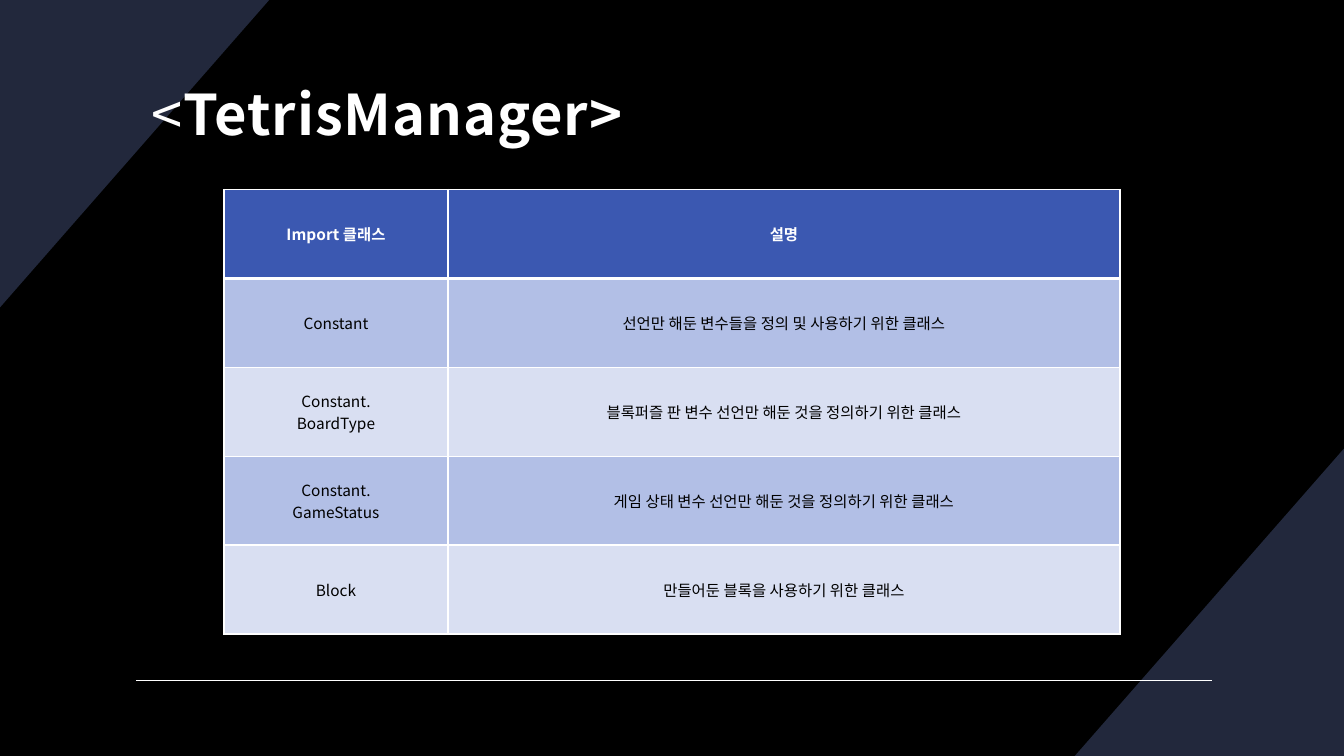
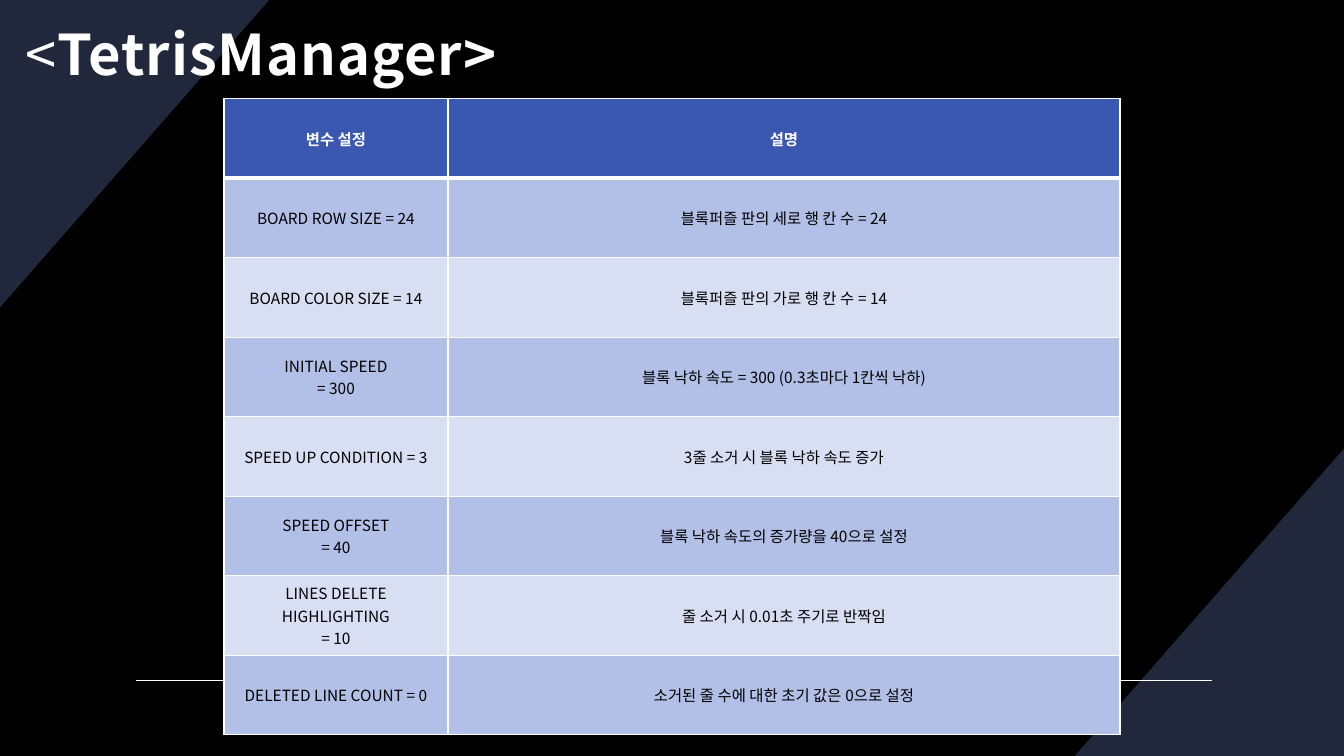
import dataclasses

import lxml.etree
import pptx
import pptx.dml.color
import pptx.enum.shapes
import pptx.enum.text
import pptx.oxml.ns
import pptx.util


@dataclasses.dataclass(frozen=True)
class Theme:
    font: str = "Noto Sans CJK KR"
    background: str = "000000"
    corner: str = "22283C"
    light: str = "FFFFFF"
    dark: str = "000000"
    header: str = "3B58B1"
    bands: tuple = ("B2BFE6", "D9DFF2")
    title_size: int = 40
    cell_size: int = 11
    title_spacing: int = 70
    thin: int = 1
    thick: int = 3


@dataclasses.dataclass(frozen=True)
class Box:
    left: int
    top: int
    width: int
    height: int


THEME = Theme()
SLIDE_WIDTH = pptx.util.Inches(13.33)
SLIDE_HEIGHT = pptx.util.Inches(7.5)
TITLE_ONLY = 5

IMPORT_ROWS = [
    ("Import 클래스", "설명"),
    ("Constant", "선언만 해둔 변수들을 정의 및 사용하기 위한 클래스"),
    ("Constant.\nBoardType", "블록퍼즐 판 변수 선언만 해둔 것을 정의하기 위한 클래스"),
    ("Constant.\nGameStatus", "게임 상태 변수 선언만 해둔 것을 정의하기 위한 클래스"),
    ("Block", "만들어둔 블록을 사용하기 위한 클래스"),
]
VARIABLE_ROWS = [
    ("변수 설정", "설명"),
    ("BOARD ROW SIZE = 24", "블록퍼즐 판의 세로 행 칸 수 = 24"),
    ("BOARD COLOR SIZE = 14", "블록퍼즐 판의 가로 행 칸 수 = 14"),
    ("INITIAL SPEED\n= 300", "블록 낙하 속도 = 300 (0.3초마다 1칸씩 낙하)"),
    ("SPEED UP CONDITION = 3", "3줄 소거 시 블록 낙하 속도 증가"),
    ("SPEED OFFSET\n= 40", "블록 낙하 속도의 증가량을 40으로 설정"),
    ("LINES DELETE HIGHLIGHTING\n= 10", "줄 소거 시 0.01초 주기로 반짝임"),
    ("DELETED LINE COUNT = 0", "소거된 줄 수에 대한 초기 값은 0으로 설정"),
]


def rgb(value):
    return pptx.dml.color.RGBColor.from_string(value)


def add_element(parent, tag, **attributes):
    element = lxml.etree.SubElement(parent, pptx.oxml.ns.qn(tag))
    for name, value in attributes.items():
        element.set(name, str(value))
    return element


def paint(fill, color):
    fill.solid()
    fill.fore_color.rgb = rgb(color)


def add_text(paragraph, text, *, size, color, bold=False, spacing=0):
    run = paragraph.add_run()
    run.text = text
    run.font.size = pptx.util.Pt(size)
    run.font.bold = bold
    run.font.name = THEME.font
    run.font.color.rgb = rgb(color)
    properties = run.font._element
    add_element(properties, "a:ea", typeface=THEME.font)
    if spacing:
        properties.set("spc", str(spacing))


def set_borders(cell, top, bottom):
    properties = cell._tc.get_or_add_tcPr()
    widths = {"a:lnL": THEME.thin, "a:lnR": THEME.thin, "a:lnT": top, "a:lnB": bottom}
    for position, (tag, width) in enumerate(widths.items()):
        line = add_element(properties, tag, w=pptx.util.Pt(width))
        add_element(add_element(line, "a:solidFill"), "a:srgbClr", val=THEME.light)
        properties.insert(position, line)


def add_corner(slide, box, points):
    corners = [
        (int(box.left + box.width * x), int(box.top + box.height * y))
        for x, y in points
    ]
    builder = slide.shapes.build_freeform(*corners[0])
    builder.add_line_segments(corners[1:], close=True)
    shape = builder.convert_to_shape()
    paint(shape.fill, THEME.corner)
    shape.line.fill.background()
    shape.shadow.inherit = False
    return shape


def add_rule(slide, box):
    rule = slide.shapes.add_connector(
        pptx.enum.shapes.MSO_CONNECTOR.STRAIGHT,
        box.left, box.top, box.left + box.width, box.top + box.height,
    )
    rule.line.color.rgb = rgb(THEME.light)
    rule.line.width = pptx.util.Pt(THEME.thin)
    add_element(rule.element.spPr, "a:effectLst")
    return rule


def decorate_layout(layout, slide):
    paint(layout.background.fill, THEME.background)
    width, height = pptx.util.Inches(2.67), pptx.util.Inches(3.05)
    lower = Box(SLIDE_WIDTH - width, SLIDE_HEIGHT - height, width, height)
    upper = Box(0, 0, width, height)
    margin = pptx.util.Inches(1.35)
    rule = Box(
        margin, int(SLIDE_HEIGHT * 0.9),
        pptx.util.Inches(10.67), 0,
    )
    decorations = [
        add_corner(slide, lower, [(1, 0), (1, 1), (0, 1)]),
        add_corner(slide, upper, [(0, 1), (0, 0), (1, 0)]),
        add_rule(slide, rule),
    ]
    tree = layout.shapes.element
    for position, shape in enumerate(decorations):
        shape.element.xpath(".//p:cNvPr")[0].set("id", str(100 + position))
        tree.insert(2 + position, shape.element)


def place_title(slide, box):
    title = slide.shapes.title
    title.left, title.top = box.left, box.top
    title.width, title.height = box.width, box.height
    frame = title.text_frame
    frame.auto_size = pptx.enum.text.MSO_AUTO_SIZE.NONE
    frame.word_wrap = True
    frame.vertical_anchor = pptx.enum.text.MSO_ANCHOR.MIDDLE
    frame.margin_left = pptx.util.Inches(0.25)
    frame.margin_right = frame.margin_top = pptx.util.Inches(0.12)
    frame.margin_bottom = pptx.util.Inches(0.1)
    paragraph = frame.paragraphs[0]
    paragraph.alignment = pptx.enum.text.PP_ALIGN.LEFT
    paragraph.line_spacing = 1.1
    for text, bold in (("<", False), ("TetrisManager>", True)):
        add_text(
            paragraph, text, size=THEME.title_size, color=THEME.light,
            bold=bold, spacing=THEME.title_spacing,
        )


def fill_cell(cell, text, row):
    is_header = row == 0
    paint(cell.fill, THEME.header if is_header else THEME.bands[(row - 1) % 2])
    set_borders(
        cell,
        top=THEME.thick if row == 1 else THEME.thin,
        bottom=THEME.thick if is_header else THEME.thin,
    )
    cell.vertical_anchor = pptx.enum.text.MSO_ANCHOR.MIDDLE
    frame = cell.text_frame
    for position, line in enumerate(text.split("\n")):
        paragraph = frame.add_paragraph() if position else frame.paragraphs[0]
        paragraph.alignment = pptx.enum.text.PP_ALIGN.CENTER
        add_text(
            paragraph, line, size=THEME.cell_size, bold=is_header,
            color=THEME.light if is_header else THEME.dark,
        )


def place_table(slide, box, rows):
    table = slide.shapes.add_table(
        len(rows), 2, box.left, box.top, box.width, box.height
    ).table
    table.horz_banding = False
    for column, share in zip(table.columns, (0.25, 0.75)):
        column.width = int(box.width * share)
    for row, texts in enumerate(rows):
        table.rows[row].height = box.height // len(rows)
        for column, text in enumerate(texts):
            fill_cell(table.cell(row, column), text, row)


def build_table_slide(slide, title_left, title_top, table_top, table_height, rows):
    inches = pptx.util.Inches
    place_title(
        slide, Box(inches(title_left), inches(title_top), inches(10.83), inches(1.49))
    )
    place_table(
        slide,
        Box(SLIDE_WIDTH // 6, inches(table_top), SLIDE_WIDTH * 2 // 3, inches(table_height)),
        rows,
    )


def main():
    presentation = pptx.Presentation()
    presentation.slide_width = SLIDE_WIDTH
    presentation.slide_height = SLIDE_HEIGHT
    layout = presentation.slide_layouts[TITLE_ONLY]
    imports, variables = [presentation.slides.add_slide(layout) for _ in range(2)]
    decorate_layout(layout, imports)
    build_table_slide(imports, 1.25, 0.33, 1.88, 4.41, IMPORT_ROWS)
    build_table_slide(variables, 0, -0.26, 0.98, 6.31, VARIABLE_ROWS)
    presentation.save("out.pptx")


if __name__ == "__main__":
    main()
